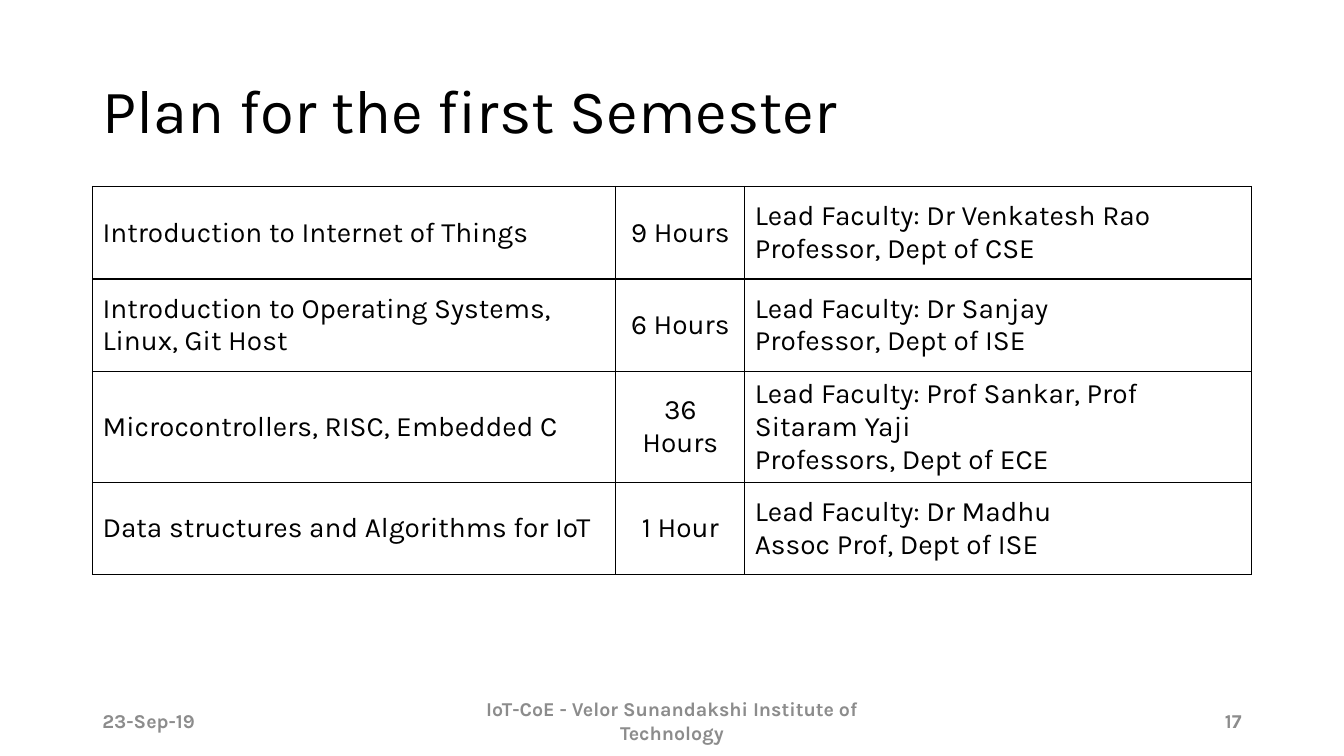
from lxml.etree import SubElement
from pptx import Presentation
from pptx.dml.color import RGBColor
from pptx.enum.text import MSO_ANCHOR, PP_ALIGN
from pptx.oxml.ns import qn
from pptx.util import Cm, Pt

FONT = "Karla"
COLORS = {"text": "000000", "border": "000000", "footer": "8C8C8C"}
LEFT, WIDTH = 2.33, 29.21

COURSES = [
    ("Introduction to Internet of Things", "9 Hours",
     "Lead Faculty: Dr Venkatesh Rao\nProfessor, Dept of CSE"),
    ("Introduction to Operating Systems, Linux, Git Host", "6 Hours",
     "Lead Faculty: Dr Sanjay\nProfessor, Dept of ISE"),
    ("Microcontrollers, RISC, Embedded C", "36 Hours",
     "Lead Faculty: Prof Sankar, Prof Sitaram Yaji\nProfessors, Dept of ECE"),
    ("Data structures and Algorithms for IoT", "1 Hour",
     "Lead Faculty: Dr Madhu\nAssoc Prof, Dept of ISE"),
]
COLUMN_WIDTHS = [13.19, 3.25, 12.77]
COLUMN_ALIGNMENTS = [PP_ALIGN.LEFT, PP_ALIGN.CENTER, PP_ALIGN.LEFT]


def write_text(frame, text, size, color, align=PP_ALIGN.LEFT, bold=False):
    frame.text = text
    frame.word_wrap = True
    for paragraph in frame.paragraphs:
        paragraph.alignment = align
        for run in paragraph.runs:
            run.font.name = FONT
            run.font.size = Pt(size)
            run.font.bold = bold
            run.font.color.rgb = RGBColor.from_string(COLORS[color])


def add_title(slide, left, top, width, height):
    title = slide.shapes.title
    title.left, title.top = Cm(left), Cm(top)
    title.width, title.height = Cm(width), Cm(height)
    write_text(title.text_frame, "Plan for the first Semester", 44, "text")
    title.text_frame.vertical_anchor = MSO_ANCHOR.MIDDLE
    title.text_frame.paragraphs[0].line_spacing = 0.9


def draw_borders(cell):
    properties = cell._tc.get_or_add_tcPr()
    for position, side in enumerate(("a:lnL", "a:lnR", "a:lnT", "a:lnB")):
        border = SubElement(properties, qn(side), w=str(Pt(1)))
        fill = SubElement(border, qn("a:solidFill"))
        SubElement(fill, qn("a:srgbClr"), val=COLORS["border"])
        properties.insert(position, border)


def add_course_table(slide, left, top, width, row_height):
    table = slide.shapes.add_table(
        len(COURSES), len(COLUMN_WIDTHS), Cm(left), Cm(top),
        Cm(width), Cm(row_height * len(COURSES))).table
    table.first_row = table.horz_banding = False
    for column, share in zip(table.columns, COLUMN_WIDTHS):
        column.width = Cm(width * share / sum(COLUMN_WIDTHS))
    for row, course in zip(table.rows, COURSES):
        row.height = Cm(row_height)
        for cell, text, align in zip(row.cells, course, COLUMN_ALIGNMENTS):
            write_text(cell.text_frame, text, 20, "text", align)
            cell.vertical_anchor = MSO_ANCHOR.MIDDLE
            cell.fill.background()
            draw_borders(cell)


def add_footer(slide, left, top, width, height):
    side_width, middle_width = 7.62, 11.43
    parts = [
        ("23-Sep-19", left, side_width, PP_ALIGN.LEFT),
        ("IoT-CoE - Velor Sunandakshi Institute of Technology",
         left + (width - middle_width) / 2, middle_width, PP_ALIGN.CENTER),
        ("17", left + width - side_width, side_width, PP_ALIGN.RIGHT),
    ]
    for text, part_left, part_width, align in parts:
        frame = slide.shapes.add_textbox(
            Cm(part_left), Cm(top), Cm(part_width), Cm(height)).text_frame
        write_text(frame, text, 14, "footer", align, bold=True)
        frame.vertical_anchor = MSO_ANCHOR.MIDDLE


def main():
    presentation = Presentation()
    presentation.slide_width, presentation.slide_height = Cm(33.87), Cm(19.05)
    slide = presentation.slides.add_slide(presentation.slide_layouts[5])
    add_title(slide, LEFT, 1.01, WIDTH, 3.68)
    add_footer(slide, LEFT, 17.65, WIDTH, 1.01)
    add_course_table(slide, LEFT, 4.7, WIDTH, 2.33)
    presentation.save("out.pptx")


if __name__ == "__main__":
    main()
